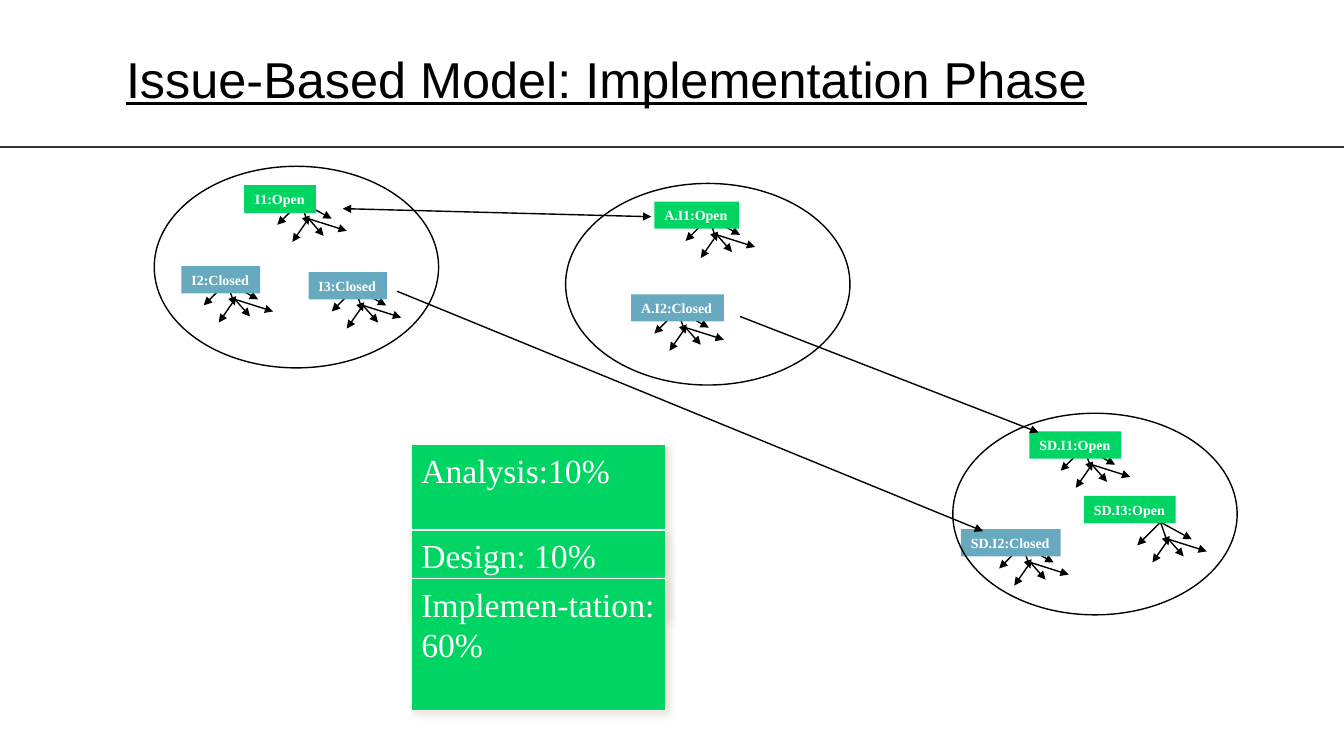
from lxml.etree import SubElement
from pptx import Presentation
from pptx.dml.color import RGBColor
from pptx.enum.shapes import MSO_CONNECTOR, MSO_SHAPE
from pptx.enum.text import MSO_ANCHOR as ANCHOR, MSO_AUTO_SIZE, PP_ALIGN
from pptx.oxml.ns import qn
from pptx.util import Emu, Pt

COLORS = {
    "black": "000000", "white": "FFFFFF", "rule": "353537",
    "open": "00D564", "closed": "67AABF", "shadow": "E3DCCF",
}
PX = 9144  # 100 px to the inch
SANS, SERIF = "Arial", "Times New Roman"


def px(*lengths):
    return [Emu(n * PX) for n in lengths]


def rgb(name):
    return RGBColor.from_string(COLORS[name])


class Deck:
    def __init__(self, width, height):
        self.prs = Presentation()
        self.prs.slide_width, self.prs.slide_height = px(width, height)
        self.s = self.prs.slides.add_slide(self.prs.slide_layouts[5])

    def label(self, sp, text, size, color, font, anchor, wrap, bold=False, underline=False):
        tf = sp.text_frame
        tf.auto_size = MSO_AUTO_SIZE.NONE
        tf.word_wrap = wrap
        tf.vertical_anchor = anchor
        tf.margin_left, tf.margin_top, tf.margin_right, tf.margin_bottom = px(10, 5, 10, 5)
        p = tf.paragraphs[0]
        p.alignment = PP_ALIGN.LEFT
        r = p.add_run()
        r.text = text
        r.font.name, r.font.size = font, Pt(size)
        r.font.bold, r.font.underline = bold, underline
        r.font.color.rgb = rgb(color)

    def title(self, text, box):
        sp = self.s.shapes.title
        sp.left, sp.top, sp.width, sp.height = px(*box)
        self.label(sp, text, 36, "black", SANS, ANCHOR.MIDDLE, False, underline=True)

    def shape(self, kind, box, fill=None, line=None):
        sp = self.s.shapes.add_shape(kind, *px(*box))
        sp.shadow.inherit = False
        if fill:
            sp.fill.solid()
            sp.fill.fore_color.rgb = rgb(fill)
        else:
            sp.fill.background()
        if line:
            sp.line.color.rgb = rgb(line)
            sp.line.width = Pt(1)
        else:
            sp.line.fill.background()
        return sp

    def line(self, start, end, ends=(), color="black", shapes=None):
        """Draw a line with arrowheads at the given ends: headEnd, tailEnd."""
        shapes = self.s.shapes if shapes is None else shapes
        c = shapes.add_connector(MSO_CONNECTOR.STRAIGHT, *px(*start, *end))
        c.line.color.rgb = rgb(color)
        c.line.width = Pt(1)
        spPr = c.element.spPr
        for name in ends:
            SubElement(spPr.find(qn("a:ln")), qn(f"a:{name}"), type="triangle")
        SubElement(spPr, qn("a:effectLst"))

    def fan(self, x, y):
        """Group six arrows spreading from two nearby points."""
        group = self.s.shapes.add_group_shape()
        for (dx, dy), tips in FAN.items():
            for tx, ty in tips:
                self.line((x + dx, y + dy), (x + tx, y + ty), ["tailEnd"], shapes=group.shapes)

    def issue(self, text, box, apex, line=None):
        self.fan(*apex)
        fill = "open" if text.endswith("Open") else "closed"
        sp = self.shape(MSO_SHAPE.RECTANGLE, (*box, 27), fill, line)
        self.label(sp, text, 10, "white", SERIF, ANCHOR.MIDDLE, False, bold=True)

    def progress(self, text, top, height):
        sp = self.shape(MSO_SHAPE.RECTANGLE, (408, top, 252, height), "open", "white")
        self.label(sp, text, 24, "white", SERIF, ANCHOR.TOP, True)
        effects = sp.element.spPr.find(qn("a:effectLst"))
        shadow = SubElement(effects, qn("a:outerShdw"), blurRad=str(Pt(5)),
                            dist=str(Pt(3)), dir="2700000", algn="tl", rotWithShape="0")
        color = SubElement(shadow, qn("a:srgbClr"), val=COLORS["shadow"])
        SubElement(color, qn("a:alpha"), val="75000")


FAN = {
    (0, 0): [(8, 23), (-23, 23), (31, 17)],
    (8, 17): [(-8, 40), (23, 34), (46, 29)],
}
# text, (left, top, width), apex of the fan, outline
ISSUES = [
    ("I1:Open", (243, 184, 70), (298, 200), "open"),
    ("I2:Closed", (180, 264, 78), (225, 280), None),
    ("I3:Closed", (306, 270, 78), (352, 286), None),
    ("A.I1:Open", (649, 200, 84), (703, 216), None),
    ("A.I2:Closed", (626, 292, 92), (672, 308), None),
    ("SD.I1:Open", (1021, 428, 91), (1075, 444), None),
    ("SD.I2:Closed", (953, 525, 99), (1014, 541), None),
    ("SD.I3:Open", (1075, 492, 91), (1151, 518), None),
]
MODELS = [(153, 165), (561, 182), (945, 410)]
LINKS = [
    ((340, 207), (646, 215), ["headEnd", "tailEnd"]),
    ((734, 314), (1030, 429), ["tailEnd"]),
    ((975, 527), (394, 289), ["headEnd"]),
]
PHASES = [
    ("Analysis:10%", 441, 171),
    ("Design: 10%", 526, 90),
    ("Implemen-tation: 60%", 574, 131),
]


def main():
    deck = Deck(1333, 750)
    deck.title("Issue-Based Model: Implementation Phase", (115, 42, 1113, 71))
    deck.line((0, 146), (1333, 146), color="rule")
    for issue in ISSUES:
        deck.issue(*issue)
    for corner in MODELS:
        deck.shape(MSO_SHAPE.OVAL, (*corner, 282, 200), line="black")
    for link in LINKS:
        deck.line(*link)
    for phase in PHASES:
        deck.progress(*phase)
    deck.prs.save("out.pptx")


if __name__ == "__main__":
    main()
